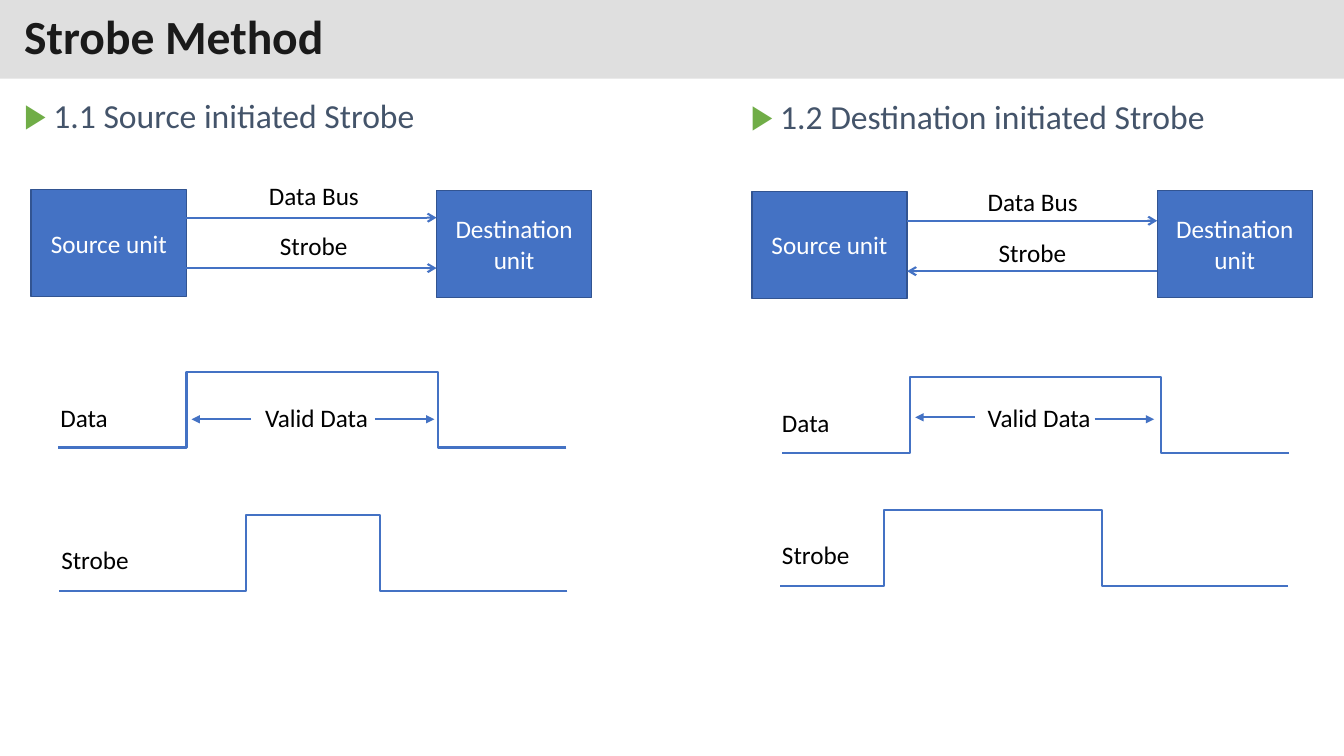
"""Build the Strobe Method slide comparing source and destination initiated strobes."""
from dataclasses import dataclass

from lxml.etree import SubElement
from pptx import Presentation
from pptx.dml.color import RGBColor
from pptx.enum.shapes import MSO_CONNECTOR, MSO_SHAPE
from pptx.enum.text import MSO_ANCHOR, MSO_AUTO_SIZE, PP_ALIGN
from pptx.oxml.ns import qn
from pptx.util import Pt

COLORS = {
    "band": "C0C0C0", "title": "1A1A1A", "heading": "44546A", "bullet": "70AD47",
    "unit": "4472C4", "unit_edge": "325491", "white": "FFFFFF", "black": "000000",
}
UNIT_WIDTH, UNIT_HEIGHT = 110.9, 76.3
DESTINATION_TOP = 136.1
SIGNAL_GAP = 36
PULSE_HALF, PULSE_HEIGHT = 182.5, 54
VALID_ARROW = 42.5


@dataclass(frozen=True)
class Point:
    """A position on the slide in points."""
    x: float
    y: float


@dataclass(frozen=True)
class Pulse:
    """A waveform that rises and falls once above its low level."""
    left: float
    rise: float
    fall: float
    right: float
    low: float


@dataclass(frozen=True)
class Panel:
    """One strobe variant with its block diagram and timing."""
    heading: str
    heading_at: Point
    heading_width: float
    source_at: Point
    destination_left: float
    bus_y: float
    strobe_returns: bool
    bus_label_at: Point
    data: Pulse
    strobe: Pulse
    data_label_at: Point
    strobe_label_at: Point
    valid_label_at: Point
    valid_back_from: Point
    valid_forward_from: Point


PANELS = [
    Panel("1.1 Source initiated Strobe", Point(10.1, 67.7), 303.1,
          Point(22.3, 135.4), 311.8, 155.5, False, Point(185, 125.3),
          Pulse(41.8, 133.2, 313.2, 404.6, 319.7),
          Pulse(42.5, 175.7, 271.4, 405.4, 421.9),
          Point(36, 283.7), Point(36.7, 385.2), Point(182.2, 283.7),
          Point(179.3, 299.5), Point(267.8, 299.5)),
    Panel("1.2 Destination initiated Strobe", Point(529.2, 68.4), 344.2,
          Point(537.1, 136.8), 826.6, 157.7, True, Point(698.4, 129.6),
          Pulse(558.7, 650.2, 829.4, 920.9, 323.3),
          Pulse(557.3, 631.4, 787, 920.2, 418.3),
          Point(551.5, 287.3), Point(551.5, 381.6), Point(698.4, 283.7),
          Point(696.2, 298.1), Point(781.9, 299.5)),
]


def rgb(name: str) -> RGBColor:
    """Return the named palette colour."""
    return RGBColor.from_string(COLORS[name])


def write_text(shape, text: str, *, size: float = 18, color: str = "black",
               bold: bool = False, align=PP_ALIGN.LEFT, anchor=MSO_ANCHOR.TOP,
               spacing: float = 1.0, bullet: str = "", fit=MSO_AUTO_SIZE.NONE) -> None:
    """Put one formatted paragraph into a shape."""
    frame = shape.text_frame
    frame.text = text
    frame.word_wrap = True
    frame.auto_size = fit
    frame.vertical_anchor = anchor
    paragraph = frame.paragraphs[0]
    if bullet:
        properties = paragraph._p.get_or_add_pPr()
        properties.set("marL", str(Pt(20.9)))
        properties.set("indent", str(Pt(-20.9)))
        tint = SubElement(properties, qn("a:buClr"))
        SubElement(tint, qn("a:srgbClr"), val=COLORS["bullet"])
        SubElement(properties, qn("a:buChar"), char=bullet)
    paragraph.alignment = align
    paragraph.line_spacing = spacing
    paragraph.space_before = Pt(0)
    font = paragraph.runs[0].font
    font.name, font.size, font.bold = "Calibri", Pt(size), bold
    font.color.rgb = rgb(color)


def place(shape, left: float, top: float, width: float, height: float) -> None:
    """Move and size a placeholder."""
    shape.left, shape.top = Pt(left), Pt(top)
    shape.width, shape.height = Pt(width), Pt(height)


def add_title(title) -> None:
    """Format the title as a translucent band across the slide."""
    place(title, 0, 0, 960, 56.2)
    title.fill.solid()
    title.fill.fore_color.rgb = rgb("band")
    tint = title._element.spPr.find(qn("a:solidFill")).find(qn("a:srgbClr"))
    SubElement(tint, qn("a:alpha"), val="50000")
    write_text(title, "Strobe Method", size=34, color="title", bold=True,
               anchor=MSO_ANCHOR.MIDDLE, spacing=0.9)
    frame = title.text_frame
    frame.margin_left = frame.margin_right = Pt(17.3)
    frame.margin_top = frame.margin_bottom = Pt(8.6)


def add_unit(slide, text: str, at: Point) -> None:
    """Draw a source or destination block."""
    unit = slide.shapes.add_shape(MSO_SHAPE.RECTANGLE, Pt(at.x), Pt(at.y),
                                  Pt(UNIT_WIDTH), Pt(UNIT_HEIGHT))
    unit.shadow.inherit = False
    unit.fill.solid()
    unit.fill.fore_color.rgb = rgb("unit")
    unit.line.color.rgb = rgb("unit_edge")
    unit.line.width = Pt(1)
    write_text(unit, text, color="white", align=PP_ALIGN.CENTER, anchor=MSO_ANCHOR.MIDDLE)


def add_label(slide, text: str, at: Point, width: float, height: float = 30.2) -> None:
    """Add a signal label."""
    label = slide.shapes.add_textbox(Pt(at.x), Pt(at.y), Pt(width), Pt(height))
    write_text(label, text, fit=MSO_AUTO_SIZE.SHAPE_TO_FIT_TEXT)


def add_signal(slide, start: Point, end: Point, head: str = "",
               kind=MSO_CONNECTOR.STRAIGHT):
    """Draw a signal line, with an arrowhead at its end if one is named."""
    signal = slide.shapes.add_connector(kind, Pt(start.x), Pt(start.y), Pt(end.x), Pt(end.y))
    signal.line.color.rgb = rgb("unit")
    signal.line.width = Pt(1.5)
    if head:
        SubElement(signal.line._get_or_add_ln(), qn("a:tailEnd"), type=head)
    SubElement(signal._element.spPr, qn("a:effectLst"))
    return signal


def add_pulse(slide, pulse: Pulse) -> None:
    """Draw a pulse as two stepped lines that overlap along its top."""
    for start, edge, step in ((pulse.left, pulse.rise, PULSE_HALF),
                              (pulse.right, pulse.fall, -PULSE_HALF)):
        half = add_signal(slide, Point(start, pulse.low),
                          Point(start + step, pulse.low - PULSE_HEIGHT),
                          kind=MSO_CONNECTOR.ELBOW)
        geometry = half._element.spPr.find(qn("a:prstGeom"))
        bend = round((edge - start) / step * 100000)
        SubElement(geometry.find(qn("a:avLst")), qn("a:gd"), name="adj1", fmla=f"val {bend}")


def add_panel(slide, panel: Panel, heading) -> None:
    """Draw one strobe variant."""
    place(heading, panel.heading_at.x, panel.heading_at.y, panel.heading_width, 33.8)
    write_text(heading, panel.heading, size=24, color="heading", align=PP_ALIGN.JUSTIFY,
               spacing=0.9, bullet="▶")

    add_unit(slide, "Source unit", panel.source_at)
    add_unit(slide, "Destination unit", Point(panel.destination_left, DESTINATION_TOP))
    source_side = panel.source_at.x + UNIT_WIDTH
    strobe_y = panel.bus_y + SIGNAL_GAP
    add_signal(slide, Point(source_side, panel.bus_y),
               Point(panel.destination_left, panel.bus_y), "arrow")
    strobe_ends = [Point(source_side, strobe_y), Point(panel.destination_left, strobe_y)]
    if panel.strobe_returns:
        strobe_ends.reverse()
    add_signal(slide, *strobe_ends, "arrow")
    bus_label = panel.bus_label_at
    add_label(slide, "Data Bus", bus_label, 85)
    add_label(slide, "Strobe", Point(bus_label.x + 7.9, bus_label.y + SIGNAL_GAP), 69.8)

    add_pulse(slide, panel.data)
    add_pulse(slide, panel.strobe)
    add_label(slide, "Valid Data", panel.valid_label_at, 92.9, 31.7)
    add_label(slide, "Data", panel.data_label_at, 52.6, 28.8)
    add_label(slide, "Strobe", panel.strobe_label_at, 69.8)
    for start, reach in ((panel.valid_forward_from, VALID_ARROW),
                         (panel.valid_back_from, -VALID_ARROW)):
        add_signal(slide, start, Point(start.x + reach, start.y), "triangle")


def main() -> None:
    """Build and save the slide."""
    deck = Presentation()
    deck.slide_width, deck.slide_height = Pt(960), Pt(540)
    slide = deck.slides.add_slide(deck.slide_layouts[3])
    title, *headings = list(slide.placeholders)[:3]
    add_title(title)
    for panel, heading in zip(PANELS, headings):
        add_panel(slide, panel, heading)
    deck.save("out.pptx")


if __name__ == "__main__":
    main()
